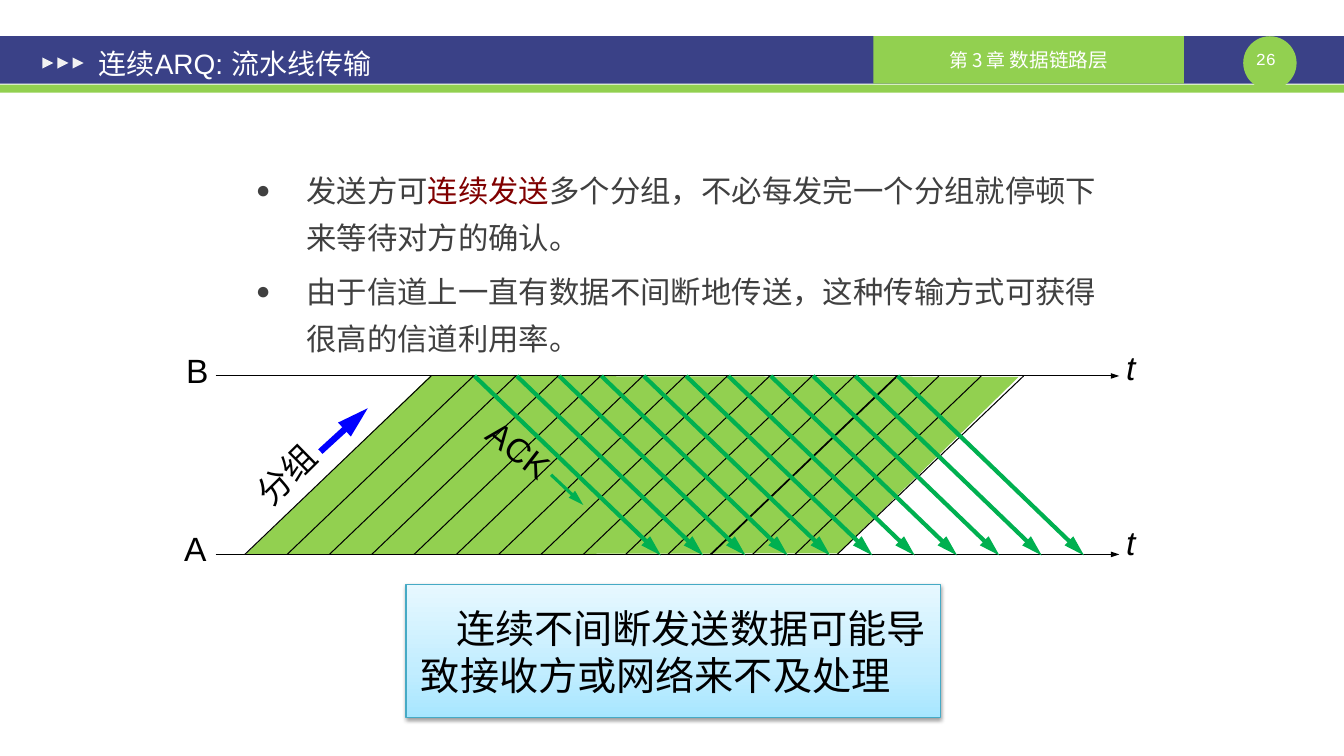
from dataclasses import dataclass
from typing import Any

from lxml import etree
from pptx import Presentation
from pptx import util as u
from pptx.dml.color import RGBColor
from pptx.enum import shapes, text
from pptx.oxml import parse_xml
from pptx.oxml.ns import nsdecls, qn

WHITE, BLACK, GREY, DARK_RED = "FFFFFF", "000000", "404040", "800000"
NAVY, LIME, GREEN, BLUE = "3A4187", "92D050", "00B050", "0000FF"
SANS, MONO, CJK = "Arial", "Courier New", "Noto Sans CJK SC"
TIME_B, TIME_A = 3.73, 5.5
STEP, SLANT = 0.42, 1.85


@dataclass
class Block:
    kind: Any
    box: tuple[float, float, float, float]
    fill: str
    rotation: float = 0


@dataclass
class Label:
    words: str
    box: tuple[float, float, float, float]
    rotation: float = 0
    italic: bool = False


@dataclass
class Line:
    start: tuple[float, float]
    end: tuple[float, float]
    color: str = BLACK
    width: float = 0.75
    arrow: tuple[str, str] | None = None  # width and length of the arrowhead


def rgb(value: str) -> RGBColor:
    return RGBColor.from_string(value)


def inches(values: tuple) -> list:
    return [u.Inches(v) for v in values]


def set_format(target: Any, values: dict) -> None:
    for name, value in values.items():
        setattr(target, name, value)


def place(shape: Any, box: tuple) -> None:
    set_format(shape, dict(zip(("left", "top", "width", "height"), inches(box))))


def set_insets(frame: Any, side: float, end: float) -> None:
    names = ("margin_left", "margin_right", "margin_top", "margin_bottom")
    set_format(frame, dict(zip(names, inches((side, side, end, end)))))


def write(paragraph: Any, words: str, size: float, color: str,
          font: str = SANS, italic: bool = False) -> None:
    run = paragraph.add_run()
    run.text = words
    run.font.color.rgb = rgb(color)
    set_format(run.font, {"size": u.Pt(size), "name": font, "italic": italic})
    etree.SubElement(run.font._element, qn("a:ea"), typeface=CJK)


def paint(shape: Any, fill: str) -> None:
    shape.shadow.inherit = False
    shape.fill.solid()
    shape.fill.fore_color.rgb = rgb(fill)
    shape.line.fill.background()


def add_block(slide: Any, block: Block) -> Any:
    shape = slide.shapes.add_shape(block.kind, *inches(block.box))
    paint(shape, block.fill)
    shape.rotation = block.rotation
    return shape


def add_label(slide: Any, label: Label) -> None:
    box = slide.shapes.add_textbox(*inches(label.box))
    box.rotation = label.rotation
    set_format(box.text_frame, {"word_wrap": False,
                                "auto_size": text.MSO_AUTO_SIZE.SHAPE_TO_FIT_TEXT})
    write(box.text_frame.paragraphs[0], label.words, 24, BLACK, italic=label.italic)


def add_line(slide: Any, line: Line) -> None:
    connector = slide.shapes.add_connector(
        shapes.MSO_CONNECTOR.STRAIGHT, *inches(line.start + line.end))
    connector.line.color.rgb = rgb(line.color)
    connector.line.width = u.Pt(line.width)
    if line.arrow:
        head = dict(zip(("w", "len"), line.arrow))
        etree.SubElement(connector.line._get_or_add_ln(), qn("a:tailEnd"),
                         type="triangle", **head)
    etree.SubElement(connector._element.spPr, qn("a:effectLst"))


def add_header(slide: Any) -> None:
    rect, oval = shapes.MSO_SHAPE.RECTANGLE, shapes.MSO_SHAPE.OVAL
    for block in (Block(rect, (0, 0.36, 13.34, 0.47), NAVY),
                  Block(rect, (0, 0.84, 13.34, 0.08), LIME),
                  Block(oval, (12.34, 0.36, 0.53, 0.53), LIME)):
        add_block(slide, block)

    page = slide.shapes.add_textbox(*inches((12.3, 0.48, 0.53, 0.2))).text_frame
    set_insets(page, 0, 0)
    page.word_wrap = True
    page.paragraphs[0].alignment = text.PP_ALIGN.CENTER
    write(page.paragraphs[0], "26", 12, WHITE, MONO)

    chapter = add_block(slide, Block(rect, (8.67, 0.36, 3.08, 0.47), LIME)).text_frame
    chapter.vertical_anchor = text.MSO_ANCHOR.MIDDLE
    chapter.paragraphs[0].alignment = text.PP_ALIGN.CENTER
    write(chapter.paragraphs[0], "第 3 章 ", 13.5, WHITE, CJK)
    write(chapter.paragraphs[0], "数据链路层", 14, WHITE, CJK)

    for i in range(3):
        add_block(slide, Block(shapes.MSO_SHAPE.ISOSCELES_TRIANGLE,
                               (0.42 + 0.15 * i, 0.57, 0.11, 0.11), "F2F2F2", 90))


def fill_placeholders(slide: Any) -> None:
    """Fill the title and body, and bring them in front of the header bar."""
    title, body = slide.shapes.title, slide.placeholders[1]
    place(title, (0.85, 0.39, 5.83, 0.47))
    place(body, (2.41, 1.53, 8.81, 2.28))
    for holder, anchor in ((title, text.MSO_ANCHOR.MIDDLE), (body, text.MSO_ANCHOR.TOP)):
        slide.shapes._spTree.append(holder._element)
        set_insets(holder.text_frame, 0.13, 0.07)
        set_format(holder.text_frame, {"word_wrap": True, "vertical_anchor": anchor,
                                       "auto_size": text.MSO_AUTO_SIZE.NONE})
    heading = title.text_frame.paragraphs[0]
    heading.alignment = text.PP_ALIGN.LEFT
    write(heading, "连续ARQ: 流水线传输", 20, WHITE)

    points = (
        (("发送方可", GREY), ("连续发送", DARK_RED),
         ("多个分组，不必每发完一个分组就停顿下来等待对方的确认。", GREY)),
        (("由于信道上一直有数据不间断地传送，这种传输方式可获得很高的信道利用率。", GREY),),
    )
    frame = body.text_frame
    for i, point in enumerate(points):
        paragraph = frame.add_paragraph() if i else frame.paragraphs[0]
        set_format(paragraph, {"line_spacing": 1.3, "space_before": u.Pt(4.3 if i else 0)})
        props = paragraph._p.get_or_add_pPr()
        props.set("marL", str(u.Inches(0.5)))
        props.set("indent", str(u.Inches(-0.5)))
        etree.SubElement(props, qn("a:buSzPct"), val="80000")
        etree.SubElement(props, qn("a:buChar"), char="●")
        for words, color in point:
            write(paragraph, words, 21.7, color)


def add_pipeline(slide: Any) -> None:
    """Draw the time axes, the packets sent by A and the ACKs sent by B."""
    corners = [tuple(inches(c)) for c in ((2.44, 5.5), (4.27, 3.73), (10.11, 3.74), (8.32, 5.49))]
    builder = slide.shapes.build_freeform(*corners[0], scale=1.0)
    builder.add_line_segments(corners[1:], close=True)
    paint(builder.convert_to_shape(), LIME)

    small, long = ("sm", "med"), ("med", "lg")
    axes = [Line((2.14, y), (11.11, y), arrow=small) for y in (TIME_A, TIME_B)]
    starts = [2.43 + STEP * i for i in range(15)] + [7.06]
    packets = [Line((x, TIME_A), (x + SLANT, TIME_B)) for x in starts]
    acks = [Line((x, TIME_B), (x + SLANT, 5.51), GREEN, 3, long)
            for x in (4.71 + STEP * i for i in range(11))]
    directions = [Line((3.18, 4.48), (3.65, 4.05), BLUE, 4.5, long),
                  Line((5.47, 4.71), (5.79, 5.01), GREEN, 2.25, long)]
    for line in axes + packets + acks + directions:
        add_line(slide, line)
    for label in (Label("B", (1.75, 3.42, 0.42, 0.5)),
                  Label("A", (1.73, 5.19, 0.44, 0.5)),
                  Label("t", (11.08, 3.39, 0.29, 0.5), italic=True),
                  Label("t", (11.08, 5.13, 0.29, 0.5), italic=True),
                  Label("分组", (2.41, 4.45, 0.87, 0.5), 315.3),
                  Label("ACK", (4.71, 4.21, 0.89, 0.5), 37.8)):
        add_label(slide, label)


def add_warning(slide: Any) -> None:
    warning = add_block(slide, Block(shapes.MSO_SHAPE.RECTANGLE, (4.03, 5.8, 5.31, 1.32), "C1EDFF"))
    warning.line.color.rgb = rgb("46AAC5")
    warning.line.width = u.Pt(0.75)
    stops = "".join(f'<a:gs pos="{pos}000"><a:srgbClr val="{color}"/></a:gs>'
                    for pos, color in ((0, "A7E6FF"), (35, "C1EDFF"), (100, "E7F8FF")))
    props = warning._element.spPr
    props.replace(props.find(qn("a:solidFill")), parse_xml(
        f'<a:gradFill {nsdecls("a")} rotWithShape="1"><a:gsLst>{stops}</a:gsLst>'
        '<a:lin ang="16200000" scaled="1"/></a:gradFill>'))
    shadow = etree.SubElement(props.find(qn("a:effectLst")), qn("a:outerShdw"),
                              blurRad=str(u.Pt(3.1)), dist=str(u.Pt(1.6)), dir="5400000")
    color = etree.SubElement(shadow, qn("a:srgbClr"), val=BLACK)
    etree.SubElement(color, qn("a:alpha"), val="38000")
    warning.text_frame.vertical_anchor = text.MSO_ANCHOR.MIDDLE
    paragraph = warning.text_frame.paragraphs[0]
    paragraph.alignment = text.PP_ALIGN.LEFT
    margins = paragraph._p.get_or_add_pPr()
    margins.set("marL", str(u.Inches(0.05)))
    margins.set("indent", str(u.Inches(0.35)))
    write(paragraph, "连续不间断发送数据可能导致接收方或网络来不及处理", 28, BLACK)


def main() -> None:
    deck = Presentation()
    set_format(deck, {"slide_width": u.Inches(13.34), "slide_height": u.Inches(7.5)})
    slide = deck.slides.add_slide(deck.slide_layouts[1])
    for draw in (add_header, fill_placeholders, add_pipeline, add_warning):
        draw(slide)
    deck.save("out.pptx")


if __name__ == "__main__":
    main()
